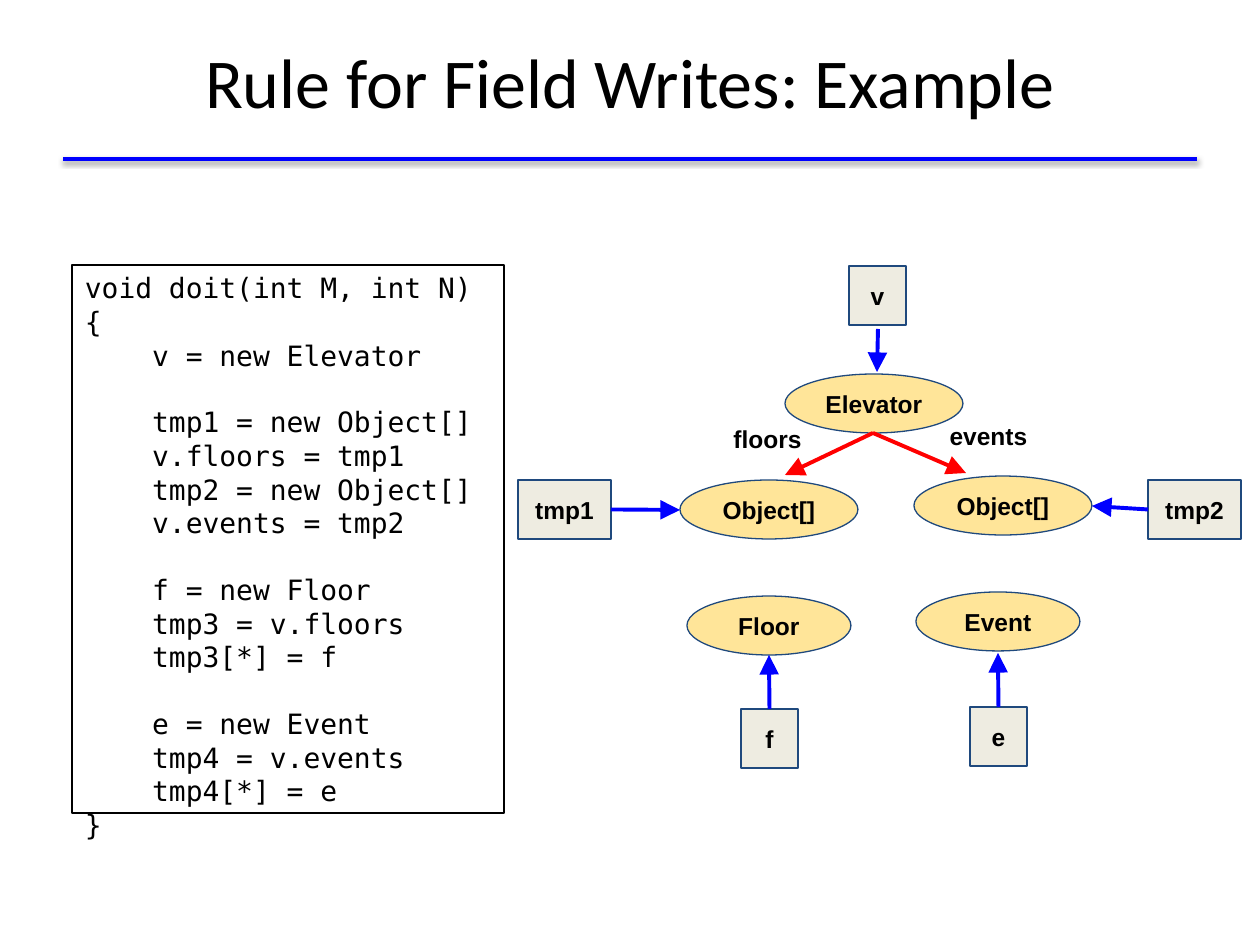
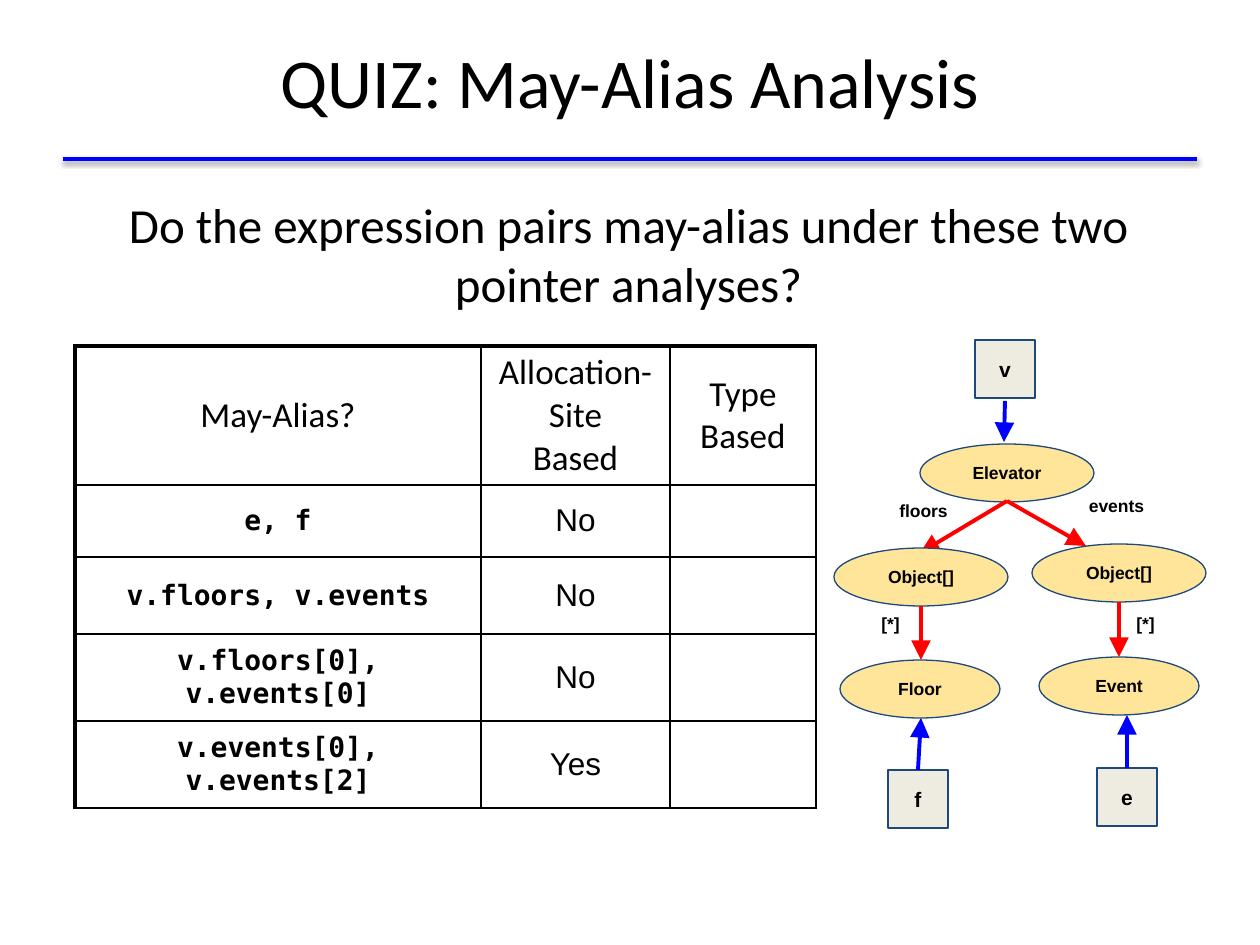
"""Build two pointer-analysis slides: a field-write example and a may-alias quiz."""
from dataclasses import dataclass, replace
from typing import NamedTuple, Optional, Sequence, Union

from lxml.etree import SubElement
from pptx import Presentation
from pptx.dml.color import RGBColor
from pptx.enum.shapes import MSO_CONNECTOR as Link, MSO_SHAPE as Preset
from pptx.enum.text import MSO_ANCHOR as Anchor, PP_ALIGN as Align
from pptx.oxml.ns import qn
from pptx.util import Emu, Pt

EMU_PER_PX = 914400 / 126


@dataclass(frozen=True)
class Style:
    """Font of a piece of text."""
    font: str
    size: int
    bold: bool = False


@dataclass(frozen=True)
class Theme:
    """Colours and type sizes of the deck."""
    ink: str = "000000"
    blue: str = "0000FF"
    red: str = "FF0000"
    outline: str = "1F497D"
    object_fill: str = "FFE599"
    variable_fill: str = "EEECE1"
    title: Style = Style("Calibri", 40)
    question: Style = Style("Calibri", 28)
    header: Style = Style("Calibri", 20)
    code: Style = Style("DejaVu Sans Mono", 16)
    answer: Style = Style("Arial", 18)
    diagram: Style = Style("Arial", 14, True)
    small_variable: Style = Style("Arial", 12, True)
    small_object: Style = Style("Arial", 10, True)


THEME = Theme()


class Frame(NamedTuple):
    """Place and size in px."""
    left: int
    top: int
    width: int
    height: int


class Point(NamedTuple):
    """Position in px."""
    x: int
    y: int


class Join(NamedTuple):
    """Side of a named variable box."""
    box: str
    side: int


@dataclass(frozen=True)
class Node:
    """Variable box, object ellipse or bare label of a heap graph."""
    text: str
    frame: Frame
    style: Style
    preset: Optional[Preset] = None


@dataclass(frozen=True)
class Arrow:
    """Directed edge of a heap graph."""
    tail: Union[Point, Join]
    tip: Point
    color: str = THEME.blue


TOP, LEFT, RIGHT = 0, 1, 3
TITLE = Frame(63, 2, 1134, 158)
RULE_START, RULE_END = Point(63, 159), Point(1197, 159)
CODE_BOX = Frame(72, 265, 432, 548)
QUESTION_BOX = Frame(71, 182, 1115, 129)
TABLE_AT = Point(75, 346)
COLUMN_WIDTHS = (406, 189, 146)
ROW_HEIGHTS = (139, 72, 77, 87, 87)

CODE_GROUPS = (
    ("void doit(int M, int N) {", "    v = new Elevator"),
    ("    tmp1 = new Object[]", "    v.floors = tmp1", "    tmp2 = new Object[]", "    v.events = tmp2"),
    ("    f = new Floor", "    tmp3 = v.floors", "    tmp3[*] = f"),
    ("    e = new Event", "    tmp4 = v.events", "    tmp4[*] = e", "}"),
)
QUIZ_ROWS = (
    ("May-Alias?", "Allocation-Site\nBased", "Type\nBased"),
    ("e, f", "No", ""),
    ("v.floors, v.events", "No", ""),
    ("v.floors[0], v.events[0]", "No", ""),
    ("v.events[0], v.events[2]", "Yes", ""),
)


def variable(text: str, left: int, top: int, width: int = 57, height: int = 59,
             style: Style = THEME.diagram) -> Node:
    """Describe a variable box."""
    return Node(text, Frame(left, top, width, height), style, Preset.RECTANGLE)


def heap_object(text: str, left: int, top: int, width: int = 178, height: int = 59,
                style: Style = THEME.diagram) -> Node:
    """Describe an object ellipse."""
    return Node(text, Frame(left, top, width, height), style, Preset.OVAL)


def small_variable(text: str, left: int, top: int) -> Node:
    """Describe a variable box of the quiz graph."""
    return variable(text, left, top, 60, 58, THEME.small_variable)


def small_object(text: str, left: int, top: int, width: int = 174) -> Node:
    """Describe an object ellipse of the quiz graph."""
    return heap_object(text, left, top, width, 58, THEME.small_object)


EXAMPLE_GRAPH = (
    heap_object("Elevator", 785, 374),
    variable("v", 849, 266),
    Arrow(Point(878, 329), Point(877, 372)),
    Arrow(Point(873, 433), Point(785, 475), THEME.red),
    Arrow(Point(873, 433), Point(966, 473), THEME.red),
    heap_object("Object[]", 680, 480),
    heap_object("Object[]", 914, 476),
    heap_object("Floor", 687, 596, 164),
    heap_object("Event", 916, 592, 164),
    variable("f", 741, 709),
    Arrow(Join("f", TOP), Point(769, 655)),
    variable("e", 970, 707),
    Arrow(Join("e", TOP), Point(998, 653)),
    Node("floors", Frame(714, 405, 107, 67), THEME.diagram),
    Node("events", Frame(935, 402, 107, 67), THEME.diagram),
    variable("tmp1", 518, 480, 93),
    Arrow(Join("tmp1", RIGHT), Point(680, 510)),
    variable("tmp2", 1148, 480, 93),
    Arrow(Join("tmp2", LEFT), Point(1092, 506)),
)
QUIZ_GRAPH = (
    small_object("Elevator", 920, 444),
    small_variable("v", 975, 340),
    Arrow(Point(1005, 401), Point(1004, 442)),
    Arrow(Point(1007, 501), Point(920, 553), THEME.red),
    Arrow(Point(1007, 501), Point(1086, 546), THEME.red),
    small_object("Object[]", 834, 548),
    small_object("Object[]", 1032, 544),
    small_object("Floor", 840, 660, 160),
    small_object("Event", 1039, 657, 160),
    small_variable("f", 888, 770),
    Arrow(Join("f", TOP), Point(921, 718)),
    small_variable("e", 1097, 768),
    Arrow(Join("e", TOP), Point(1127, 715)),
    Node("floors", Frame(867, 479, 113, 64), THEME.small_object),
    Node("events", Frame(1054, 474, 125, 64), THEME.small_object),
    Arrow(Point(921, 606), Point(921, 660), THEME.red),
    Arrow(Point(1119, 602), Point(1119, 657), THEME.red),
    Node("[*]", Frame(852, 592, 77, 64), THEME.small_object),
    Node("[*]", Frame(1107, 592, 77, 64), THEME.small_object),
)


def px(length: int) -> Emu:
    """Turn px into EMU."""
    return Emu(round(length * EMU_PER_PX))


def rgb(color: str) -> RGBColor:
    """Turn a hex string into a colour."""
    return RGBColor.from_string(color)


def add_run(para, text: str, style: Style) -> None:
    """Add one styled run to a paragraph."""
    span = para.add_run()
    span.text = text
    span.font.name, span.font.size, span.font.bold = style.font, Pt(style.size), style.bold
    span.font.color.rgb = rgb(THEME.ink)


def write(para, text: str, style: Style, align: Align = Align.CENTER) -> None:
    """Write text into a paragraph, with line breaks between its lines."""
    para.alignment = align
    for index, line in enumerate(text.split("\n")):
        if index:
            para.add_line_break()
        add_run(para, line, style)


def set_frame(frame, anchor: Anchor, inset: int = 13) -> None:
    """Set wrapping, anchor and insets of a text frame."""
    frame.word_wrap = True
    frame.vertical_anchor = anchor
    frame.margin_left = frame.margin_right = px(13)
    frame.margin_top = frame.margin_bottom = px(inset)


def add_textbox(page, place: Frame, text: str, style: Style, anchor: Anchor, inset: int = 13) -> None:
    """Add a centred text box."""
    box = page.shapes.add_textbox(*map(px, place))
    set_frame(box.text_frame, anchor, inset)
    write(box.text_frame.paragraphs[0], text, style)


def add_line(page, start: Point, end: Point, color: str, weight: float):
    """Add a straight line and return it with its empty effect list."""
    line = page.shapes.add_connector(Link.STRAIGHT, *map(px, (*start, *end)))
    line.line.color.rgb, line.line.width = rgb(color), Pt(weight)
    effects = SubElement(line._element.spPr, qn("a:effectLst"))
    return line, effects


def add_page(deck, title: str):
    """Add a blank page with the shared title and shadowed rule."""
    page = deck.slides.add_slide(deck.slide_layouts[6])
    _, effects = add_line(page, RULE_START, RULE_END, THEME.blue, 2)
    shadow = SubElement(effects, qn("a:outerShdw"), blurRad=str(Pt(3.1)), dist=str(Pt(1.6)),
                        dir="5400000", rotWithShape="0")
    tint = SubElement(shadow, qn("a:srgbClr"), val=THEME.ink)
    SubElement(tint, qn("a:alpha"), val="38000")
    add_textbox(page, TITLE, title, THEME.title, Anchor.MIDDLE, 6)
    return page


def add_node(page, node: Node):
    """Add a box or ellipse of a heap graph."""
    box = page.shapes.add_shape(node.preset, *map(px, node.frame))
    box.shadow.inherit = False
    box.fill.solid()
    box.fill.fore_color.rgb = rgb(THEME.object_fill if node.preset == Preset.OVAL else THEME.variable_fill)
    box.line.color.rgb, box.line.width = rgb(THEME.outline), Pt(0.75)
    set_frame(box.text_frame, Anchor.MIDDLE)
    write(box.text_frame.paragraphs[0], node.text, node.style)
    return box


def add_graph(page, items: Sequence[Union[Node, Arrow]]) -> None:
    """Draw a heap graph from back to front."""
    boxes = {}
    for item in items:
        if isinstance(item, Arrow):
            joined = isinstance(item.tail, Join)
            line, _ = add_line(page, item.tip if joined else item.tail, item.tip, item.color, 2.25)
            if joined:
                line.begin_connect(boxes[item.tail.box], item.tail.side)
            SubElement(line.line._get_or_add_ln(), qn("a:tailEnd"), type="triangle", w="lg", len="lg")
        elif item.preset is None:
            add_textbox(page, item.frame, item.text, item.style, Anchor.MIDDLE)
        else:
            boxes[item.text] = add_node(page, item)


def add_code(page) -> None:
    """Add the framed listing, one paragraph a line."""
    box = page.shapes.add_textbox(*map(px, CODE_BOX))
    box.line.color.rgb, box.line.width = rgb(THEME.ink), Pt(0.75)
    set_frame(box.text_frame, Anchor.TOP, 6)
    for group_index, group in enumerate(CODE_GROUPS):
        for line_index, line in enumerate(group):
            first = group_index == line_index == 0
            para = box.text_frame.paragraphs[0] if first else box.text_frame.add_paragraph()
            para.line_spacing = 1.0
            para.space_before = Pt(19 if group_index and not line_index else 0)
            write(para, line, THEME.code, Align.LEFT)


def set_borders(cell, row: int, column: int) -> None:
    """Draw cell borders, heavier on the table's left and top edges."""
    weights = {"L": 1 if column else 2.25, "R": 1, "T": 1 if row else 2.25, "B": 1}
    for side, weight in weights.items():
        border = SubElement(cell._tc.get_or_add_tcPr(), qn(f"a:ln{side}"), w=str(Pt(weight)))
        SubElement(SubElement(border, qn("a:solidFill")), qn("a:srgbClr"), val=THEME.ink)


def add_quiz_table(page) -> None:
    """Add the table of expression pairs and answers."""
    place = Frame(*TABLE_AT, sum(COLUMN_WIDTHS), sum(ROW_HEIGHTS))
    table = page.shapes.add_table(len(ROW_HEIGHTS), len(COLUMN_WIDTHS), *map(px, place)).table
    table.first_row = table.horz_banding = False
    for column, width in zip(table.columns, COLUMN_WIDTHS):
        column.width = px(width)
    body_styles = (replace(THEME.code, bold=True), THEME.answer, THEME.answer)
    for row, texts in enumerate(QUIZ_ROWS):
        table.rows[row].height = px(ROW_HEIGHTS[row])
        for column, text in enumerate(texts):
            cell = table.cell(row, column)
            set_borders(cell, row, column)
            cell.fill.background()
            cell.vertical_anchor = Anchor.MIDDLE
            cell.margin_left = cell.margin_right = px(13)
            cell.margin_top = cell.margin_bottom = px(5)
            if text:
                write(cell.text_frame.paragraphs[0], text, body_styles[column] if row else THEME.header)


def main() -> None:
    """Build and save the deck."""
    deck = Presentation()
    deck.slide_width, deck.slide_height = px(1260), px(945)
    example = add_page(deck, "Rule for Field Writes: Example")
    add_code(example)
    add_graph(example, EXAMPLE_GRAPH)
    quiz = add_page(deck, "QUIZ: May-Alias Analysis")
    add_graph(quiz, QUIZ_GRAPH)
    add_textbox(quiz, QUESTION_BOX, "Do the expression pairs may-alias under these two pointer analyses?",
                THEME.question, Anchor.TOP)
    add_quiz_table(quiz)
    deck.save("out.pptx")


if __name__ == "__main__":
    main()
